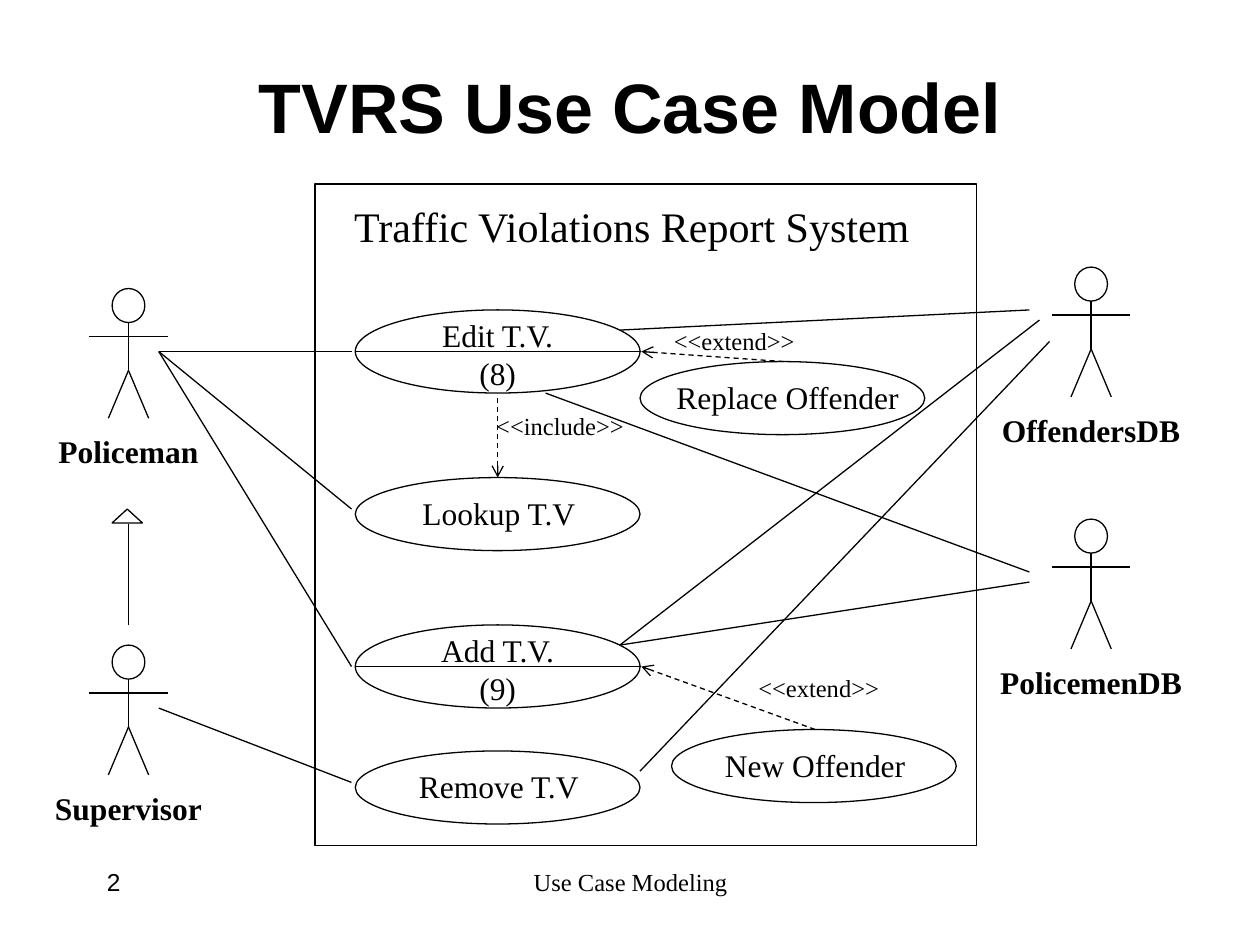
import dataclasses

import pptx
import pptx.dml.color
import pptx.enum.dml
import pptx.enum.shapes
import pptx.enum.text
import pptx.oxml
import pptx.oxml.ns
import pptx.util

Inches = pptx.util.Inches
Pt = pptx.util.Pt
Shape = pptx.enum.shapes.MSO_SHAPE
Align = pptx.enum.text.PP_ALIGN
Anchor = pptx.enum.text.MSO_ANCHOR


@dataclasses.dataclass(frozen=True)
class Theme:
    ink = pptx.dml.color.RGBColor(0x00, 0x00, 0x00)
    paper = pptx.dml.color.RGBColor(0xFF, 0xFF, 0xFF)
    heading_font = "Arial"
    body_font = "Times New Roman"
    title_size = 40
    system_size = 24
    label_size = 18
    small_size = 14
    line_width = Pt(0.75)


theme = Theme()

presentation = pptx.Presentation()
presentation.slide_width = Inches(10)
presentation.slide_height = Inches(7.5)
slide = presentation.slides.add_slide(presentation.slide_layouts[5])
slide.background.fill.solid()
slide.background.fill.fore_color.rgb = theme.paper


def write_text(text, left, top, width, height, size=theme.label_size, font=theme.body_font,
               bold=False, align=Align.CENTER, anchor=Anchor.TOP, wrap=True, shape=None):
    """Write text into a given shape, or into a new text box."""
    if shape is None:
        shape = slide.shapes.add_textbox(0, 0, 0, 0)
    shape.left, shape.top = Inches(left), Inches(top)
    shape.width, shape.height = Inches(width), Inches(height)
    frame = shape.text_frame
    frame.text = text
    frame.word_wrap = wrap
    frame.auto_size = pptx.enum.text.MSO_AUTO_SIZE.NONE
    frame.vertical_anchor = anchor
    for paragraph in frame.paragraphs:
        paragraph.alignment = align
        paragraph.font.size = Pt(size)
        paragraph.font.name = font
        paragraph.font.bold = bold
        paragraph.font.color.rgb = theme.ink


def draw_line(start_x, start_y, end_x, end_y, dashed_arrow=False):
    """Draw a straight line; a dependency is dashed with an open arrowhead."""
    connector = slide.shapes.add_connector(
        pptx.enum.shapes.MSO_CONNECTOR.STRAIGHT,
        Inches(start_x), Inches(start_y), Inches(end_x), Inches(end_y))
    connector.line.color.rgb = theme.ink
    connector.line.width = theme.line_width
    properties = connector._element.spPr
    if dashed_arrow:
        connector.line.dash_style = pptx.enum.dml.MSO_LINE.DASH
        properties.find(pptx.oxml.ns.qn("a:ln")).append(pptx.oxml.parse_xml(
            f'<a:tailEnd {pptx.oxml.ns.nsdecls("a")} type="arrow"/>'))
    properties.append(pptx.oxml.parse_xml(f'<a:effectLst {pptx.oxml.ns.nsdecls("a")}/>'))


# Title and footer
write_text("TVRS Use Case Model", 0.75, 0.21, 8.5, 1.25, size=theme.title_size,
           font=theme.heading_font, bold=True, anchor=Anchor.MIDDLE, shape=slide.shapes.title)
write_text("Use Case Modeling", 3.42, 6.83, 3.17, 0.5, size=theme.small_size)
write_text("2", 0.75, 6.83, 2.08, 0.5, size=theme.small_size, font=theme.heading_font,
           align=Align.LEFT)

# System boundary and generalization triangle; further outlines are added below
outlines = [
    (Shape.RECTANGLE, 2.5, 1.46, 5.25, 5.25),
    (Shape.ISOSCELES_TRIANGLE, 0.89, 4.04, 0.24, 0.11),
]
write_text("Traffic Violations Report System", 2.69, 1.54, 4.65, 0.5,
           size=theme.system_size, wrap=False)

# Simple use cases: name, left, top
use_case_width = 2.26
for name, left, top in [
    ("Remove T.V", 2.82, 5.96),
    ("Lookup T.V", 2.82, 3.79),
    (" Replace Offender", 5.08, 2.87),
    ("New Offender", 5.33, 5.79),
]:
    outlines.append((Shape.OVAL, left, top, use_case_width, 0.58))
    write_text(name, left + 0.09, top + 0.08, 2.1, 0.4)

# Divided use cases: name with extension point count, top
for name, top in [("Edit T.V.\n(8)", 2.46), ("Add T.V.\n(9)", 4.96)]:
    outlines.append((Shape.OVAL, 2.82, top, use_case_width, 0.66))
    write_text(name, 2.9, top, 2.1, 0.7)
    draw_line(2.82, top + 0.33, 5.09, top + 0.33)

# Actors: name, centre, top of head
for name, center, top in [
    ("Policeman", 1.02, 2.29),
    ("Supervisor", 1.02, 5.12),
    ("OffendersDB", 8.66, 2.12),
    ("PolicemenDB", 8.66, 4.12),
]:
    hip = top + 0.65
    outlines.append((Shape.OVAL, center - 0.13, top, 0.26, 0.27))
    draw_line(center, top + 0.27, center, hip)
    draw_line(center - 0.31, top + 0.38, center + 0.31, top + 0.38)
    for foot in (center - 0.16, center + 0.16):
        draw_line(center, hip, foot, top + 1.03)
    write_text(name, center - 0.82, top + 1.09, 1.64, 0.4, bold=True, wrap=False)

# All unfilled outlines
for kind, left, top, width, height in outlines:
    shape = slide.shapes.add_shape(kind, Inches(left), Inches(top), Inches(width), Inches(height))
    shape.shadow.inherit = False
    shape.fill.background()
    shape.line.color.rgb = theme.ink
    shape.line.width = theme.line_width

# Dependencies and their stereotypes
for ends in [(6.47, 5.79, 5.09, 5.29), (6.22, 2.87, 5.09, 2.79), (3.95, 3.16, 3.95, 3.79)]:
    draw_line(*ends, dashed_arrow=True)
for stereotype, left, top in [
    ("<<extend>>", 5.25, 2.54),
    ("<<extend>>", 5.92, 5.29),
    ("<<include>>", 3.84, 3.21),
]:
    write_text(stereotype, left, top, 1.2, 0.34, size=theme.small_size,
               align=Align.LEFT, wrap=False)

# Generalization and associations
for ends in [
    (1.02, 4.16, 1.02, 4.96),
    (1.26, 5.62, 2.79, 6.21),
    (1.26, 2.79, 2.79, 2.79),
    (1.26, 2.79, 2.79, 4.04),
    (1.26, 2.79, 2.79, 5.29),
    (8.17, 2.46, 4.92, 2.62),
    (8.25, 2.54, 4.92, 5.12),
    (8.33, 2.71, 5.08, 6.12),
    (8.17, 4.62, 4.92, 5.12),
    (8.17, 4.54, 4.33, 3.12),
]:
    draw_line(*ends)

presentation.save("out.pptx")
